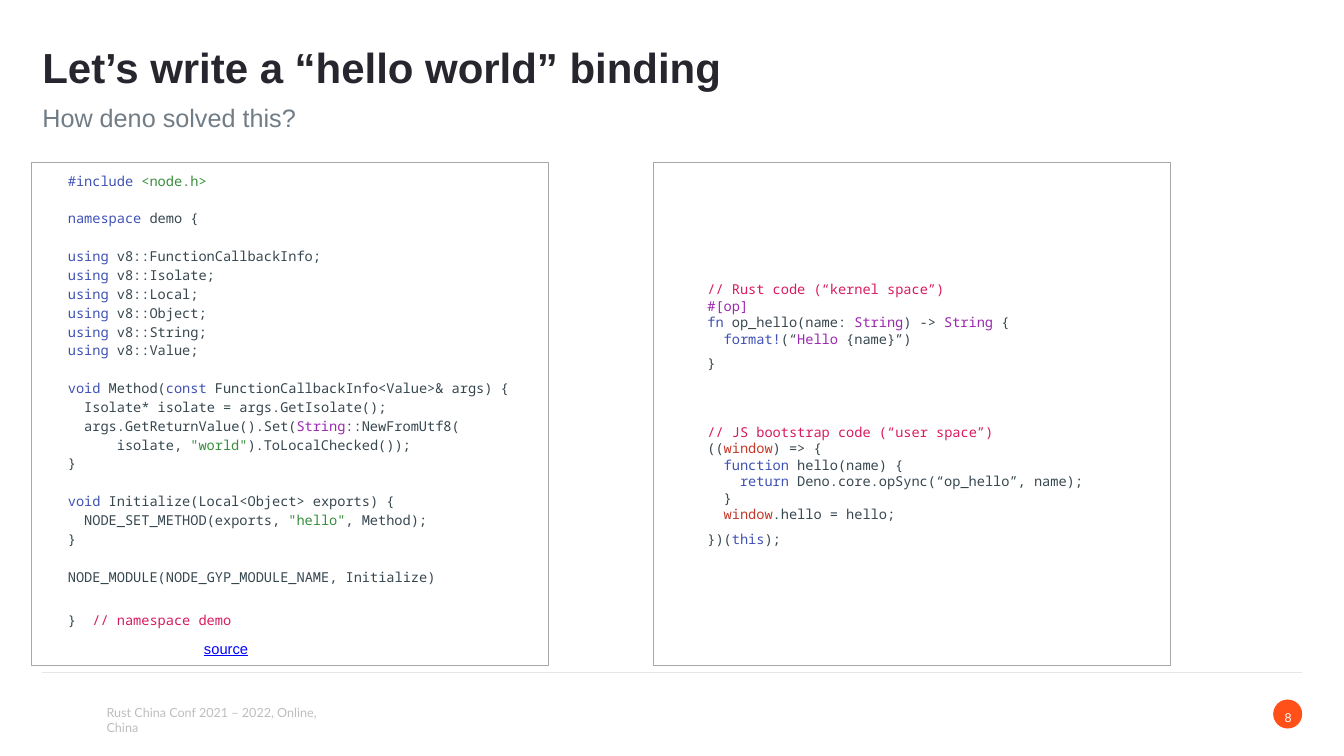
from collections import namedtuple
from lxml.etree import SubElement
from pptx import Presentation
from pptx.dml.color import RGBColor
from pptx.enum.shapes import MSO_CONNECTOR, MSO_SHAPE
from pptx.enum.text import MSO_ANCHOR, PP_ALIGN
from pptx.oxml.ns import qn
from pptx.util import Inches, Pt

Box = namedtuple("Box", "x y w h")
SLIDE = Box(0, 0, 17.78, 10)
COLORS = {
    "title": "27262E", "subtitle": "707C86", "footer": "BEBEBE",
    "rule": "E5E5E5", "badge": "FF5019", "white": "FFFFFF",
    "border": "A7A7A7", "link": "0000FF",
    "d": "37474F", "k": "3F51B5", "g": "388E3C",
    "p": "9C27B0", "m": "D81B60", "r": "C53929",
}
CPP = ["""~k#include ~g<node.h>

~knamespace~d demo {

~kusing~d v8::FunctionCallbackInfo;
~kusing~d v8::Isolate;
~kusing~d v8::Local;
~kusing~d v8::Object;
~kusing~d v8::String;
~kusing~d v8::Value;

~kvoid~d Method(~kconst~d FunctionCallbackInfo<Value>& args) {
  Isolate* isolate = args.GetIsolate();
  args.GetReturnValue().Set(~pString~d::NewFromUtf8(
      isolate, ~g"world"~d).ToLocalChecked());
}

~kvoid~d Initialize(Local<Object> exports) {
  NODE_SET_METHOD(exports, ~g"hello"~d, Method);
}

NODE_MODULE(NODE_GYP_MODULE_NAME, Initialize)

}  ~m// namespace demo"""]
DENO = ["""~m// Rust code (“kernel space”)
~p#[op]
~kfn~d op_hello(name: ~pString~d) -> ~pString~d {
  ~kformat!~d(“~pHello~d {name}”)
}""", """~m// JS bootstrap code (“user space”)
((~rwindow~d) => {
  ~kfunction~d hello(name) {
    ~kreturn~d Deno.core.opSync(“op_hello”, name);
  }
  ~rwindow~d.hello = hello;
})(~kthis~d);"""]


def rgb(name):
    """Return the palette colour with this name."""
    return RGBColor.from_string(COLORS[name])


def within(box, x, y, w, h):
    """Return the part of a box given in percent of its size."""
    return Box(box.x + box.w * x / 100, box.y + box.h * y / 100,
               box.w * w / 100, box.h * h / 100)


def emu(box):
    """Convert a box to slide lengths."""
    return [Inches(v) for v in box]


def add_frame(slide, box, inset=0, wrap=True):
    """Add a text box and return its text frame."""
    tf = slide.shapes.add_textbox(*emu(box)).text_frame
    tf.word_wrap = wrap
    tf.margin_left = tf.margin_right = Inches(inset)
    tf.margin_top = tf.margin_bottom = Inches(inset)
    return tf


def add_run(p, text, size, color, font="Arial", bold=False):
    """Append a formatted run to a paragraph."""
    r = p.add_run()
    r.text = text
    r.font.size, r.font.name, r.font.bold = Pt(size), font, bold
    r.font.color.rgb = rgb(color)
    return r


def add_plain_shape(slide, kind, box, fill, line, width):
    """Add a filled and outlined shape without a shadow."""
    sp = slide.shapes.add_shape(kind, *emu(box))
    sp.shadow.inherit = False
    sp.fill.solid()
    sp.fill.fore_color.rgb = rgb(fill)
    sp.line.color.rgb = rgb(line)
    sp.line.width = Pt(width)
    return sp


def add_heading(slide, box, title, subtitle):
    """Place the title and subtitle."""
    tf = add_frame(slide, box)
    add_run(tf.paragraphs[0], title, 40, "title", bold=True)
    p = tf.add_paragraph()
    p.space_before = Pt(10)
    add_run(p, subtitle, 24, "subtitle")


def add_code(slide, box, snippets, spacing, line_gap, snippet_gap):
    """Write snippets whose colours are marked by a tilde and a key."""
    tf = add_frame(slide, box, 0.1)
    p, gap = tf.paragraphs[0], 0
    for snippet in snippets:
        lines = snippet.splitlines()
        for i, line in enumerate(lines):
            if not line:
                gap = line_gap
                continue
            if p.runs:
                p = tf.add_paragraph()
                p.space_before = Pt(gap)
            p.line_spacing = 1.5 if i == len(lines) - 1 else spacing
            for part in ("d" + line).split("~"):
                if part[1:]:
                    add_run(p, part[1:], 13, part[0], "Noto Sans Mono")
            gap = 0
        gap = snippet_gap


def add_panel(slide, box, code_share, snippets, spacing=1.0, source=None):
    """Place a bordered panel with its code and an optional source label."""
    sp = add_plain_shape(slide, MSO_SHAPE.RECTANGLE, box, "white", "border", 0.75)
    fill = sp.fill._xPr.find(qn("a:solidFill"))
    SubElement(fill[0], qn("a:alpha"), val="9000")
    add_code(slide, within(box, *code_share), snippets, spacing, 18, 50)
    if source:
        tf = add_frame(slide, within(box, 31.87, 93.38, 12.13, 6.32), 0.1)
        add_run(tf.paragraphs[0], source, 14, "link").font.underline = True


def add_footer(slide, box, event, number):
    """Place the rule, event name and page badge."""
    x, y, w, _ = within(box, 3.15, 88.9, 93.7, 0)
    rule = slide.shapes.add_connector(MSO_CONNECTOR.STRAIGHT, *emu((x, y, x + w, y)))
    rule.line.color.rgb = rgb("rule")
    rule.line.width = Pt(1)
    SubElement(rule._element.spPr, qn("a:effectLst"))
    add_plain_shape(slide, MSO_SHAPE.OVAL, within(box, 94.77, 92.6, 2.08, 3.7),
                    "badge", "badge", 1)
    tf = add_frame(slide, within(box, 7.65, 92.8, 18.45, 2.9), 0.05)
    add_run(tf.paragraphs[0], event, 12, "footer", "Lato")
    tf = add_frame(slide, within(box, 95.44, 93.6, 0.79, 1.9), wrap=False)
    tf.vertical_anchor = MSO_ANCHOR.MIDDLE
    p = tf.paragraphs[0]
    p.alignment, p.line_spacing = PP_ALIGN.CENTER, 1.4
    add_run(p, number, 12, "white")


def main():
    """Build and save the slide."""
    prs = Presentation()
    prs.slide_width, prs.slide_height = Inches(SLIDE.w), Inches(SLIDE.h)
    slide = prs.slides.add_slide(prs.slide_layouts[6])
    add_footer(slide, SLIDE, "Rust China Conf 2021 – 2022, Online, China", "8")
    add_heading(slide, within(SLIDE, 3.15, 5.5, 93.7, 12.6),
                "Let’s write a “hello world” binding", "How deno solved this?")
    left, right = (within(SLIDE, x, 21.5, 38.47, 66.5) for x in (2.36, 48.65))
    add_panel(slide, left, (5.56, 0, 88.89, 94.74), CPP, 1.15, "source")
    add_panel(slide, right, (8.92, 22.11, 81.87, 54.74), DENO)
    prs.save("out.pptx")


if __name__ == "__main__":
    main()
